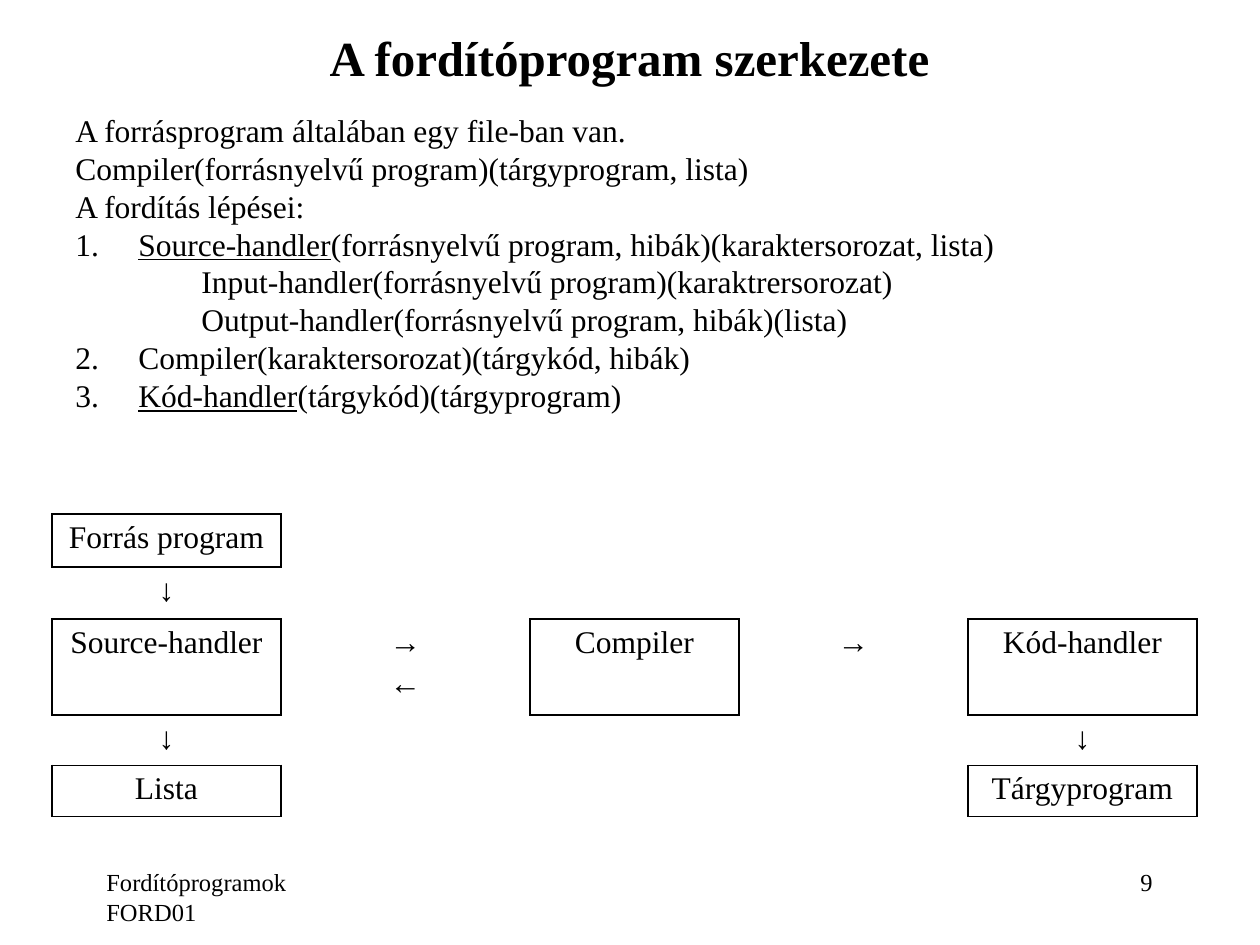
from dataclasses import dataclass

from lxml import etree
from pptx import Presentation
from pptx.dml.color import RGBColor
from pptx.enum.text import MSO_ANCHOR, MSO_AUTO_SIZE, PP_ALIGN
from pptx.oxml.ns import qn
from pptx.util import Pt

LEFT, CENTER, RIGHT = PP_ALIGN.LEFT, PP_ALIGN.CENTER, PP_ALIGN.RIGHT
MIDDLE, TOP = MSO_ANCHOR.MIDDLE, MSO_ANCHOR.TOP
GROW = MSO_AUTO_SIZE.SHAPE_TO_FIT_TEXT
EMU_PER_PX = 914400 / 126
TITLE_ONLY = 5
PLAIN_TABLE = "{2D5ABB26-0587-4C30-8999-92F81FD0307C}"
# Border tag and the offset of the cell that shares that edge
EDGES = {"a:lnL": (0, -1), "a:lnR": (0, 1), "a:lnT": (-1, 0), "a:lnB": (1, 0)}


@dataclass(frozen=True)
class Theme:
    font: str = "Times New Roman"
    ink: str = "000000"
    title: int = 28
    body: int = 18
    footer: int = 14
    border: int = 1
    gap: float = 3.6


THEME = Theme()


def px(length):
    return round(length * EMU_PER_PX)


def write(para, text, size=THEME.body, bold=False, underline=False):
    """Add text to a paragraph; a newline becomes a line break."""
    for index, line in enumerate(text.split("\n")):
        if index:
            para.add_line_break()
        span = para.add_run()
        span.text = line
        font = span.font
        font.name, font.size = THEME.font, Pt(size)
        font.bold, font.underline = bold, underline
        font.color.rgb = RGBColor.from_string(THEME.ink)


class SlideBuilder:
    def __init__(self, deck, theme):
        self.theme = theme
        self.page = deck.slides.add_slide(deck.slide_layouts[TITLE_ONLY])

    def title(self, text, left, top, width, height):
        box = self.page.shapes.title
        box.left, box.top = px(left), px(top)
        box.width, box.height = px(width), px(height)
        box.text_frame.vertical_anchor = MIDDLE
        para = box.text_frame.paragraphs[0]
        para.alignment = CENTER
        write(para, text, size=self.theme.title, bold=True)

    def text_box(self, left, top, width, height):
        box = self.page.shapes.add_textbox(px(left), px(top), px(width), px(height))
        box.text_frame.word_wrap = True
        return box.text_frame

    def footer(self, text, left, width, align):
        para = self.text_box(left, 861, width, 63).paragraphs[0]
        para.alignment = align
        write(para, text, size=self.theme.footer)

    def outline(self, items, left, top, width, height, indent):
        """Items are (numbered, underlined lead, remaining text)."""
        frame = self.text_box(left, top, width, height)
        frame.auto_size = GROW
        for index, (numbered, lead, rest) in enumerate(items):
            para = frame.add_paragraph() if index else frame.paragraphs[0]
            props = para._p.get_or_add_pPr()
            props.set("marL", str(px(indent)))
            props.set("indent", str(-px(indent)))
            if numbered:
                etree.SubElement(props, qn("a:buFont"), typeface=self.theme.font)
                etree.SubElement(props, qn("a:buAutoNum"), type="arabicPeriod")
            else:
                etree.SubElement(props, qn("a:buNone"))
            if lead:
                write(para, lead, underline=True)
            write(para, rest)

    def flow_table(self, cells, boxed, left, top, widths, heights):
        graphic = self.page.shapes.add_table(
            len(heights), len(widths), px(left), px(top),
            px(sum(widths)), px(sum(heights)))
        table = graphic.table
        table.first_row = table.horz_banding = False
        table._tbl.tblPr.find(qn("a:tableStyleId")).text = PLAIN_TABLE
        for column, width in zip(table.columns, widths):
            column.width = px(width)
        for row, height in zip(table.rows, heights):
            row.height = px(height)
        for row in range(len(heights)):
            for column in range(len(widths)):
                cell = table.cell(row, column)
                cell.vertical_anchor = TOP
                cell.fill.background()
                self.borders(cell, row, column, boxed)
                if (row, column) in cells:
                    self.cell_text(cell, cells[row, column])

    def cell_text(self, cell, text):
        frame = cell.text_frame
        for index, line in enumerate(text.split("\n")):
            para = frame.add_paragraph() if index else frame.paragraphs[0]
            para.alignment = CENTER
            if index:
                para.space_before = Pt(self.theme.gap)
            write(para, line)

    def borders(self, cell, row, column, boxed):
        """An edge is drawn when the cell on either side of it is boxed."""
        props = cell._tc.get_or_add_tcPr()
        for order, (tag, (down, across)) in enumerate(EDGES.items()):
            line = etree.Element(qn(tag), w=str(Pt(self.theme.border)))
            if boxed & {(row, column), (row + down, column + across)}:
                fill = etree.SubElement(line, qn("a:solidFill"))
                etree.SubElement(fill, qn("a:srgbClr"), val=self.theme.ink)
            else:
                etree.SubElement(line, qn("a:noFill"))
            props.insert(order, line)


def main():
    deck = Presentation()
    deck.slide_width, deck.slide_height = px(1260), px(945)
    slide = SlideBuilder(deck, THEME)

    # Title and explanation
    slide.title("A fordítóprogram szerkezete", 94, 10, 1071, 94)
    slide.outline([
        (False, "", "A forrásprogram általában egy file-ban van."),
        (False, "", "Compiler(forrásnyelvű program)(tárgyprogram, lista)"),
        (False, "", "A fordítás lépései:"),
        (True, "Source-handler",
         "(forrásnyelvű program, hibák)(karaktersorozat, lista)\n"
         "\tInput-handler(forrásnyelvű program)(karaktrersorozat)\n"
         "\tOutput-handler(forrásnyelvű program, hibák)(lista)"),
        (True, "", "Compiler(karaktersorozat)(tárgykód, hibák)"),
        (True, "Kód-handler", "(tárgykód)(tárgyprogram)"),
    ], 63, 105, 1130, 353, indent=63)

    # Compiler structure: boxed stages joined by arrow cells
    stages = {
        (0, 0): "Forrás program", (2, 0): "Source-handler", (2, 2): "Compiler",
        (2, 4): "Kód-handler", (4, 0): "Lista", (4, 4): "Tárgyprogram",
    }
    arrows = {(1, 0): "↓", (2, 1): "→\n←", (2, 3): "→", (3, 0): "↓", (3, 4): "↓"}
    slide.flow_table(stages | arrows, set(stages), 52, 514,
                     widths=[229, 249, 209, 229, 229],
                     heights=[53, 52, 96, 50, 51])

    # Footer and page number
    slide.footer("Fordítóprogramok FORD01", 94, 262, LEFT)
    slide.footer("9", 903, 262, RIGHT)

    deck.save("out.pptx")


if __name__ == "__main__":
    main()
